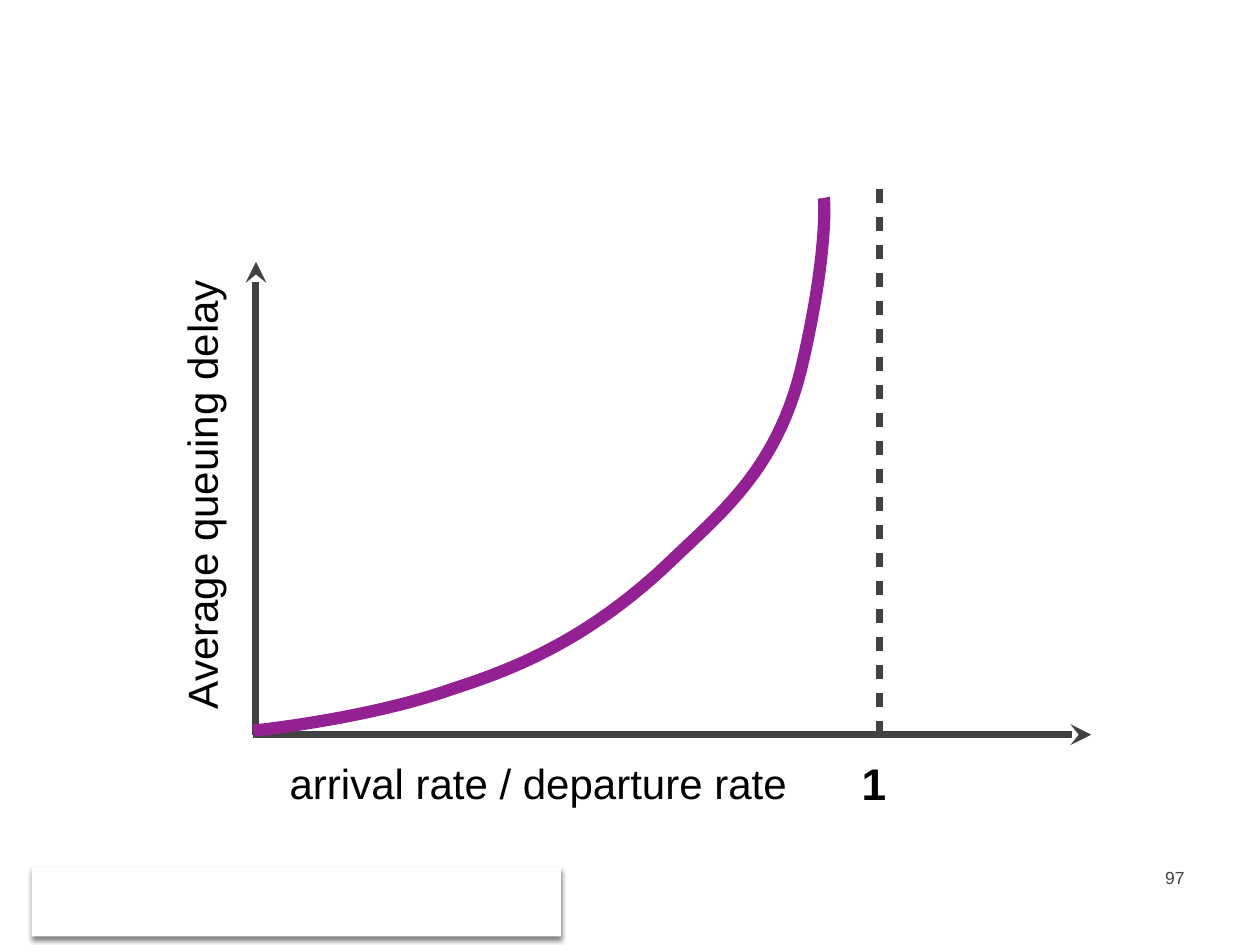
import pptx
import pptx.util
import pptx.dml.color
import pptx.enum.shapes
import pptx.enum.text
import pptx.oxml
import pptx.oxml.ns
from lxml import etree

Cm = pptx.util.Cm
Pt = pptx.util.Pt
RGBColor = pptx.dml.color.RGBColor
PP_ALIGN = pptx.enum.text.PP_ALIGN
MSO_ANCHOR = pptx.enum.text.MSO_ANCHOR
qn = pptx.oxml.ns.qn

GREY = RGBColor(0x42, 0x42, 0x42)
PURPLE = RGBColor(0x94, 0x21, 0x93)
BLACK = RGBColor(0, 0, 0)
WHITE = RGBColor(0xFF, 0xFF, 0xFF)

# Content, lengths in centimetres
BASELINE = 14.81
AXES = [  # arrow tip, origin
    ((5.16, 5.28), (5.16, BASELINE)),
    ((22.0, BASELINE), (5.11, BASELINE)),
]
ASYMPTOTE = ((17.73, 3.81), (17.73, BASELINE))
CURVE_START = (5.11, 14.73)
CURVE = [  # two control points and the end of each Bezier segment
    ((5.11, 14.73), (7.39, 14.5), (9.12, 13.89)),
    ((10.19, 13.54), (11.81, 12.98), (13.59, 11.25)),
    ((14.63, 10.26), (15.75, 9.35), (16.21, 7.19)),
    ((16.71, 4.95), (16.61, 3.99), (16.61, 3.99)),
]
STEPS = 24
LABELS = [  # text, (left, top, width, height), size, bold, rotation
    ("arrival rate / departure rate", (5.74, 15.16, 10.87, 1.22), 24, False, 0),
    ("1", (17.27, 15.14, 0.91, 1.27), 25.3, True, 0),
    ("Average queuing delay", (-0.81, 8.92, 9.73, 1.22), 24, False, 270),
]
PAGE_NUMBER = ("97", (18.21, 17.35, 5.92, 1.27))
FOOTER_PANEL = (0.64, 17.48, 10.67, 1.4)


def add_line(slide, ends, arrow=False, dashed=False):
    start, end = ends
    line = slide.shapes.add_connector(
        pptx.enum.shapes.MSO_CONNECTOR.STRAIGHT, *map(Cm, start + end))
    line.line.color.rgb = GREY
    line.line.width = Pt(4)
    outline = line.line._get_or_add_ln()
    if dashed:
        dashes = etree.SubElement(outline, qn("a:custDash"))
        etree.SubElement(dashes, qn("a:ds"), d="200000", sp="200000")
    if arrow:
        etree.SubElement(outline, qn("a:headEnd"), type="stealth")
    etree.SubElement(line._element.spPr, qn("a:effectLst"))


def add_text(slide, text, box, size, color, bold=False):
    label = slide.shapes.add_textbox(*map(Cm, box))
    label.text_frame.word_wrap = True
    paragraph = label.text_frame.paragraphs[0]
    paragraph.text = text
    paragraph.font.name = "Arial"
    paragraph.font.size = Pt(size)
    paragraph.font.bold = bold
    paragraph.font.color.rgb = color
    return label


def bezier_points(start, segments):
    for control_1, control_2, end in segments:
        for step in range(1, STEPS + 1):
            t = step / STEPS
            u = 1 - t
            yield tuple(
                Cm(u**3 * a + 3 * u * u * t * b + 3 * u * t * t * c + t**3 * d)
                for a, b, c, d in zip(start, control_1, control_2, end))
        start = end


def main():
    deck = pptx.Presentation()
    deck.slide_width, deck.slide_height = Cm(25.4), Cm(19.05)
    slide = deck.slides.add_slide(deck.slide_layouts[6])

    # Page number
    number_text, number_box = PAGE_NUMBER
    number = add_text(slide, number_text, number_box, 10, GREY)
    number.text_frame.paragraphs[0].alignment = PP_ALIGN.RIGHT

    # Axes
    for axis in AXES:
        add_line(slide, axis, arrow=True)

    # Delay curve
    builder = slide.shapes.build_freeform(*map(Cm, CURVE_START))
    builder.add_line_segments(bezier_points(CURVE_START, CURVE), close=False)
    curve = builder.convert_to_shape()
    curve.shadow.inherit = False
    curve.fill.background()
    curve.line.color.rgb = PURPLE
    curve.line.width = Pt(7)

    # Asymptote at full load
    add_line(slide, ASYMPTOTE, dashed=True)

    # Axis labels
    for text, box, size, bold, rotation in LABELS:
        label = add_text(slide, text, box, size, BLACK, bold)
        label.rotation = rotation
        frame = label.text_frame
        frame.vertical_anchor = MSO_ANCHOR.MIDDLE
        frame.auto_size = pptx.enum.text.MSO_AUTO_SIZE.SHAPE_TO_FIT_TEXT
        frame.margin_left = frame.margin_right = Cm(0.1)
        frame.margin_top = frame.margin_bottom = Cm(0.1)

    # Footer panel with a soft shadow
    panel = slide.shapes.add_shape(
        pptx.enum.shapes.MSO_SHAPE.RECTANGLE, *map(Cm, FOOTER_PANEL))
    panel.fill.solid()
    panel.fill.fore_color.rgb = WHITE
    panel.line.fill.background()
    panel.shadow.inherit = False
    effects = panel._element.spPr.find(qn("a:effectLst"))
    shadow = etree.SubElement(
        effects, qn("a:outerShdw"), blurRad=str(Pt(3)), dist=str(Pt(2)),
        dir="5400000", rotWithShape="0")
    shade = etree.SubElement(shadow, qn("a:srgbClr"), val=str(BLACK))
    etree.SubElement(shade, qn("a:alpha"), val="50000")

    deck.save("out.pptx")


if __name__ == "__main__":
    main()
